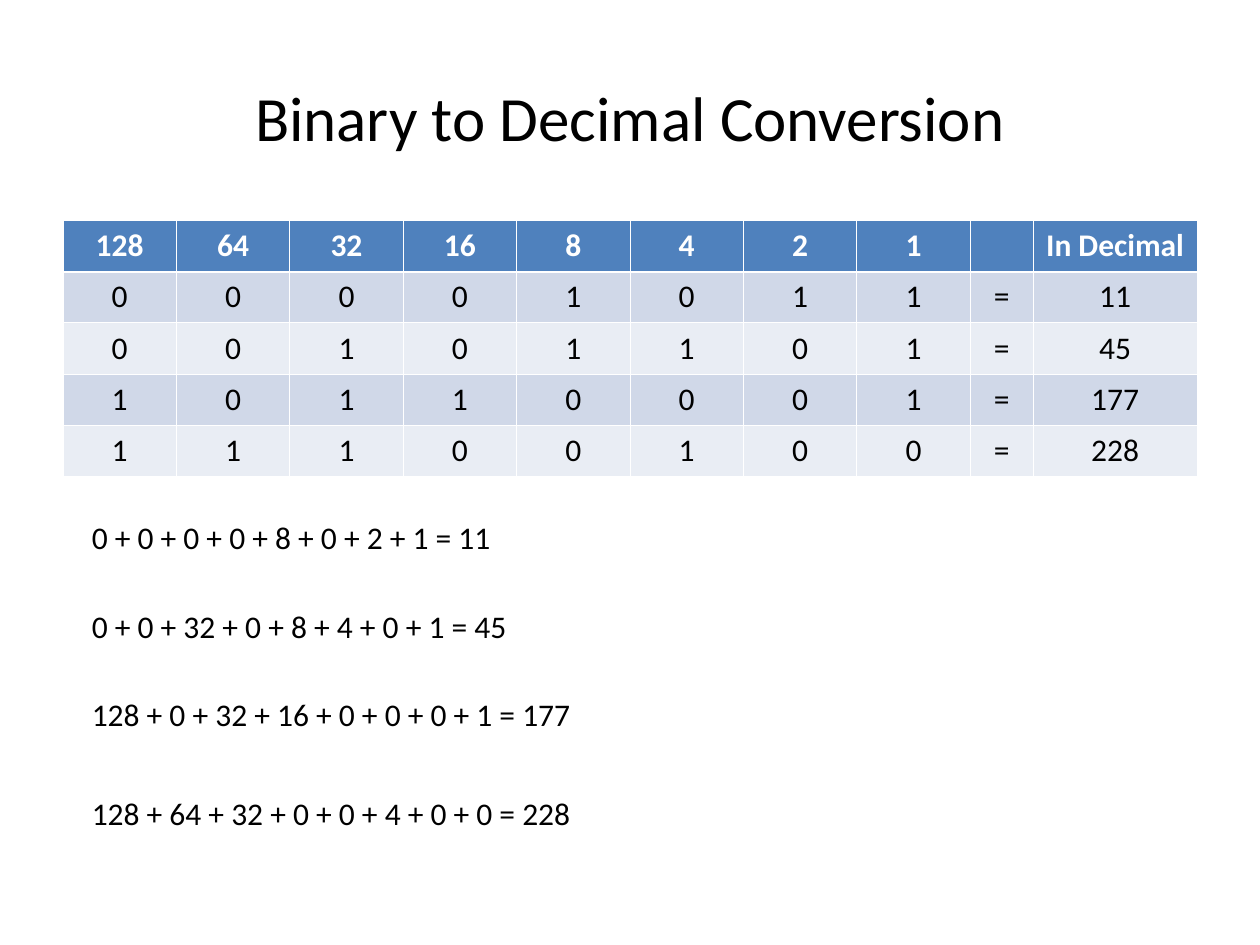
from lxml import etree
from pptx import Presentation
from pptx import util as u
from pptx.dml.color import RGBColor
from pptx.enum import text
from pptx.oxml.ns import qn

# Content
TITLE = "Binary to Decimal Conversion"
WEIGHTS = [128, 64, 32, 16, 8, 4, 2, 1]
BYTES = ["00001011", "00101101", "10110001", "11100100"]
SUM_TOPS = [4.06, 4.77, 5.47, 6.25]

# Style
FONT = "Calibri"
BLACK = RGBColor(0, 0, 0)
WHITE = RGBColor(0xFF, 0xFF, 0xFF)
BLUE = RGBColor(0x4F, 0x81, 0xBD)
BANDS = [RGBColor(0xD0, 0xD8, 0xE8), RGBColor(0xE9, 0xED, 0xF4)]
THIN, THICK = 0.45, 1.47

# Grid in inches
LEFT, WIDTH = 0.5, 9
COLS = [0.9] * len(WEIGHTS) + [0.5, 1.3]
ROW = 0.406


def write(frame, words, size, color=BLACK, bold=False, align=text.PP_ALIGN.LEFT):
    frame.text = words
    para = frame.paragraphs[0]
    para.alignment = align
    for run in para.runs:
        font = run.font
        font.name, font.size, font.bold = FONT, u.Pt(size), bold
        font.color.rgb = color


def add_text(left, top, width, height, words, size, **style):
    box = slide.shapes.add_textbox(*map(u.Inches, (left, top, width, height)))
    frame = box.text_frame
    frame.word_wrap = True
    write(frame, words, size, **style)
    return frame


def set_edge(cell, side, points):
    props = cell._tc.get_or_add_tcPr()
    line = etree.SubElement(props, qn("a:ln" + side), w=str(u.Pt(points)))
    fill = etree.SubElement(line, qn("a:solidFill"))
    etree.SubElement(fill, qn("a:srgbClr"), val=str(WHITE))


deck = Presentation()
deck.slide_width, deck.slide_height = u.Inches(10), u.Inches(7.5)
slide = deck.slides.add_slide(deck.slide_layouts[6])

# Title
head = add_text(LEFT, 0.3, WIDTH, 1.25, TITLE, 36, align=text.PP_ALIGN.CENTER)
head.vertical_anchor = text.MSO_ANCHOR.MIDDLE

# Rows of the table and the sums below it
rows = [[*WEIGHTS, "", "In Decimal"]]
sums = []
for bits in BYTES:
    total = int(bits, 2)
    rows.append([*bits, "=", total])
    terms = [str(w * int(b)) for w, b in zip(WEIGHTS, bits)]
    sums.append(f"{' + '.join(terms)} = {total}")

# Table
grid = slide.shapes.add_table(
    len(rows), len(COLS), u.Inches(LEFT), u.Inches(1.75),
    u.Inches(WIDTH), u.Inches(ROW * len(rows))).table
for col, width in zip(grid.columns, COLS):
    col.width = u.Inches(width)
for r, row in enumerate(rows):
    grid.rows[r].height = u.Inches(ROW)
    top = r == 0
    for c, value in enumerate(row):
        cell = grid.cell(r, c)
        write(cell.text_frame, str(value), 18, WHITE if top else BLACK,
              top, text.PP_ALIGN.CENTER)
        set_edge(cell, "L", THIN)
        set_edge(cell, "R", THIN)
        set_edge(cell, "T", THICK if r == 1 else THIN)
        set_edge(cell, "B", THICK if top else THIN)
        cell.fill.solid()
        cell.fill.fore_color.rgb = BLUE if top else BANDS[(r - 1) % 2]

# Sums
for y, words in zip(SUM_TOPS, sums):
    frame = add_text(0.63, y, 8.91, 0.4, words, 18)
    frame.auto_size = text.MSO_AUTO_SIZE.SHAPE_TO_FIT_TEXT

deck.save("out.pptx")
